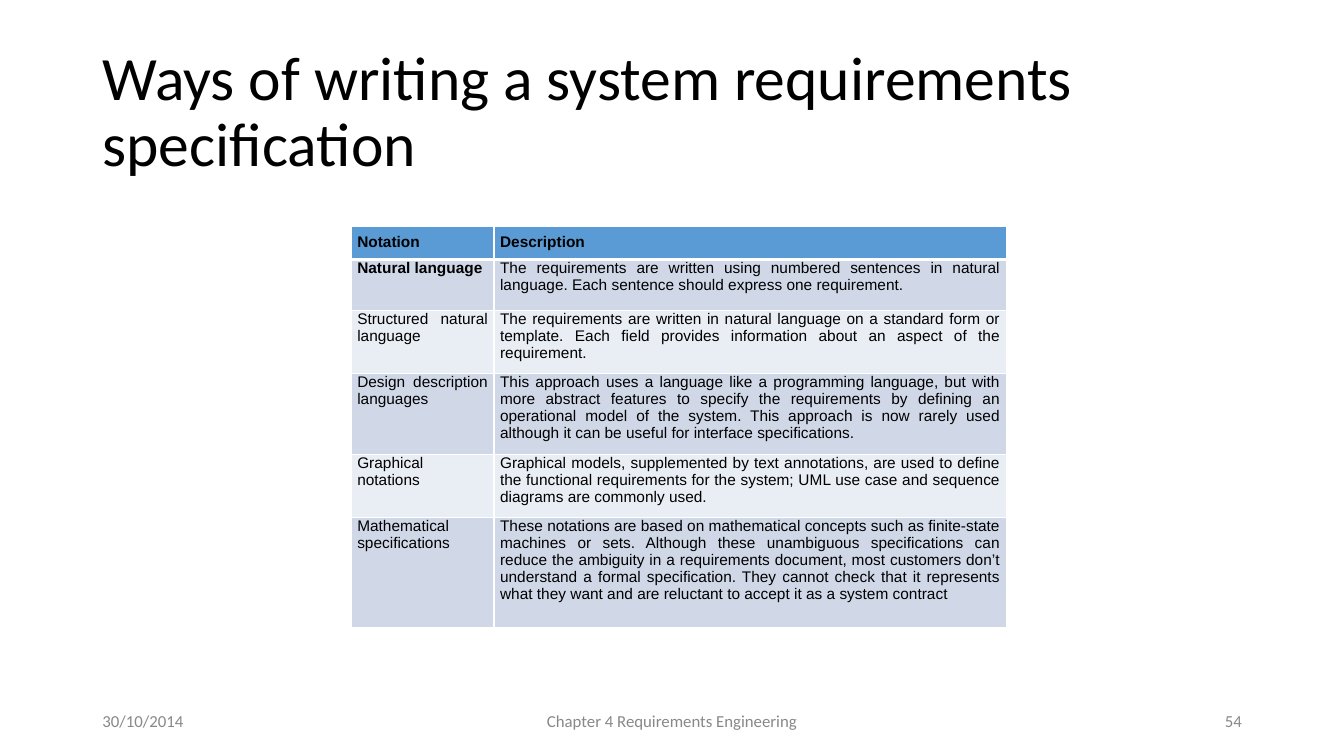
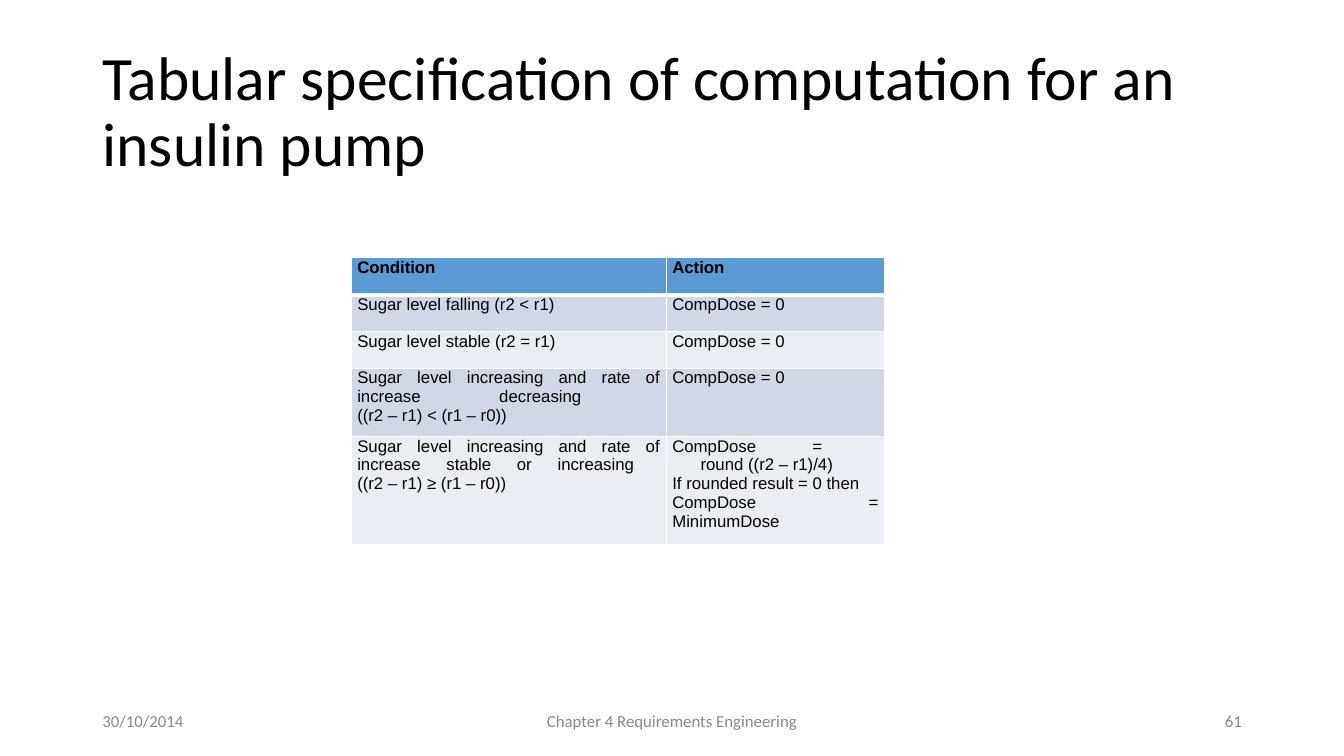
from copy import deepcopy
from lxml import etree
from pptx import Presentation, util as u
from pptx.dml.color import RGBColor
from pptx.enum import text
from pptx.oxml.ns import qn

HUES = {"ink": "000000", "foot": "888888", "line": "FFFFFF",
        "head": "5B9BD5", "odd": "D0D8E8", "even": "E9EDF4"}
ALIGN = text.PP_ALIGN
TOP, MID = text.MSO_ANCHOR.TOP, text.MSO_ANCHOR.MIDDLE
UNIT = 1 / 12
LEFT = 11
DATE, FOOT = "30/10/2014", "Chapter 4 Requirements Engineering"


def grid(*cells):
    return [u.Inches(n * UNIT) for n in cells]


def write(frame, words, size=12, font="Calibri", hue="ink", bold=False,
          align=ALIGN.LEFT, space=None, hang=0):
    frame.word_wrap = True
    paras = [words] if isinstance(words, str) else words
    for i, line in enumerate(paras):
        para = frame.paragraphs[0] if i == 0 else frame.add_paragraph()
        para.text = line
        para.alignment = align
        if space:
            para.line_spacing = space
        for run in para.runs:
            run.font.size = u.Pt(size)
            run.font.name = font
            run.font.bold = bold
            run.font.color.rgb = RGBColor.from_string(HUES[hue])
        for gap in para._p.findall(qn("a:br")):
            gap.append(deepcopy(para.runs[0]._r.rPr))
            if hang:
                props = para._p.get_or_add_pPr()
                props.set("marL", str(u.Inches(hang)))
                props.set("indent", str(-u.Inches(hang)))


class Deck:
    """Holds the shared style and the current slide."""

    def __init__(self):
        self.show = Presentation()
        self.show.slide_width = u.Inches(13.33)
        self.show.slide_height = u.Inches(7.5)

    def slide(self, title, page):
        self.page = self.show.slides.add_slide(self.show.slide_layouts[5])
        self.title(title)
        for words, left, width, align in (
                (DATE, LEFT, 36, ALIGN.LEFT),
                (FOOT, 53, 54, ALIGN.CENTER),
                (str(page), 113, 36, ALIGN.RIGHT)):
            self.note(words, left, width, align)

    def title(self, words):
        shape = self.page.shapes.title
        shape.left, shape.top, shape.width, shape.height = grid(LEFT, 4.8, 138, 17.4)
        frame = shape.text_frame
        frame.auto_size = text.MSO_AUTO_SIZE.NONE
        frame.vertical_anchor = MID
        write(frame, words, size=44, space=0.9)

    def note(self, words, left, width, align):
        box = self.page.shapes.add_textbox(*grid(left, 83.4, width, 4.8))
        box.text_frame.vertical_anchor = MID
        write(box.text_frame, words, hue="foot", align=align)

    def edge(self, cell, row):
        props = cell._tc.get_or_add_tcPr()
        thick = {"lnB": row == 0, "lnT": row == 1}
        for side in ("lnL", "lnR", "lnT", "lnB"):
            line = etree.SubElement(props, qn("a:" + side))
            line.set("w", str(u.Pt(3 if thick.get(side) else 1)))
            fill = etree.SubElement(line, qn("a:solidFill"))
            etree.SubElement(fill, qn("a:srgbClr")).set("val", HUES["line"])

    def table(self, top, cols, rows, data, size, pad=0, bold=(), left=()):
        frame = self.page.shapes.add_table(
            len(rows), len(cols), *grid(41.8, top, sum(cols), sum(rows)))
        table = frame.table
        for col, width in zip(table.columns, grid(*cols)):
            col.width = width
        for row, height in zip(table.rows, grid(*rows)):
            row.height = height
        for r, line in enumerate(data):
            hue = "head" if r == 0 else ("even", "odd")[r % 2]
            for c, words in enumerate(line):
                cell = table.cell(r, c)
                self.edge(cell, r)
                cell.fill.solid()
                cell.fill.fore_color.rgb = RGBColor.from_string(HUES[hue])
                cell.margin_left = cell.margin_right = u.Inches(0.06)
                cell.margin_top = u.Inches(0 if r else pad)
                cell.margin_bottom = u.Inches(0.07)
                cell.vertical_anchor = TOP
                write(cell.text_frame, words, size=size, font="Arial",
                      bold=r == 0 or (r, c) in bold,
                      align=ALIGN.LEFT if (r, c) in left else ALIGN.JUSTIFY,
                      hang=0.28 if c else 0)


WAYS = [
    ("Notation", "Description"),
    ("Natural language",
     "The requirements are written using numbered sentences in natural language. "
     "Each sentence should express one requirement."),
    ("Structured natural language ",
     "The requirements are written in natural language on a standard form or "
     "template. Each field provides information about an aspect of the requirement."),
    ("Design description languages",
     "This approach uses a language like a programming language, but with more "
     "abstract features to specify the requirements by defining an operational "
     "model of the system. This approach is now rarely used although it can be "
     "useful for interface specifications."),
    ("Graphical notations",
     "Graphical models, supplemented by text annotations, are used to define the "
     "functional requirements for the system; UML use case and sequence diagrams "
     "are commonly used."),
    ("Mathematical specifications",
     "These notations are based on mathematical concepts such as finite-state "
     "machines or sets. Although these unambiguous specifications can reduce the "
     "ambiguity in a requirements document, most customers don’t understand a "
     "formal specification. They cannot check that it represents what they want "
     "and are reluctant to accept it as a system contract"),
]
ZERO = "CompDose = 0"
DOSES = [
    ("Condition", "Action"),
    ("Sugar level falling (r2 < r1)", ZERO),
    ("Sugar level stable (r2 = r1)", ZERO),
    ("Sugar level increasing and rate of increase decreasing \n"
     "((r2 – r1) < (r1 – r0))", ZERO),
    ("Sugar level increasing and rate of increase stable or increasing \n"
     "((r2 – r1) ≥ (r1 – r0))",
     ("CompDose = \nround ((r2 – r1)/4)",
      "If rounded result = 0 then ",
      "CompDose = MinimumDose")),
]


def main():
    deck = Deck()
    deck.slide("Ways of writing a system requirements specification", 54)
    deck.table(27, (17, 61), (3.8, 6.1, 7.2, 9.7, 7.2, 13.2), WAYS, 11,
               pad=0.07, bold=[(1, 0)], left=[(0, 0)])
    deck.slide("Tabular specification of computation for an insulin pump", 61)
    deck.table(30.7, (37.5, 26), (4.4, 4.4, 4.4, 8.1, 12.8), DOSES, 12)
    deck.show.save("out.pptx")


if __name__ == "__main__":
    main()
